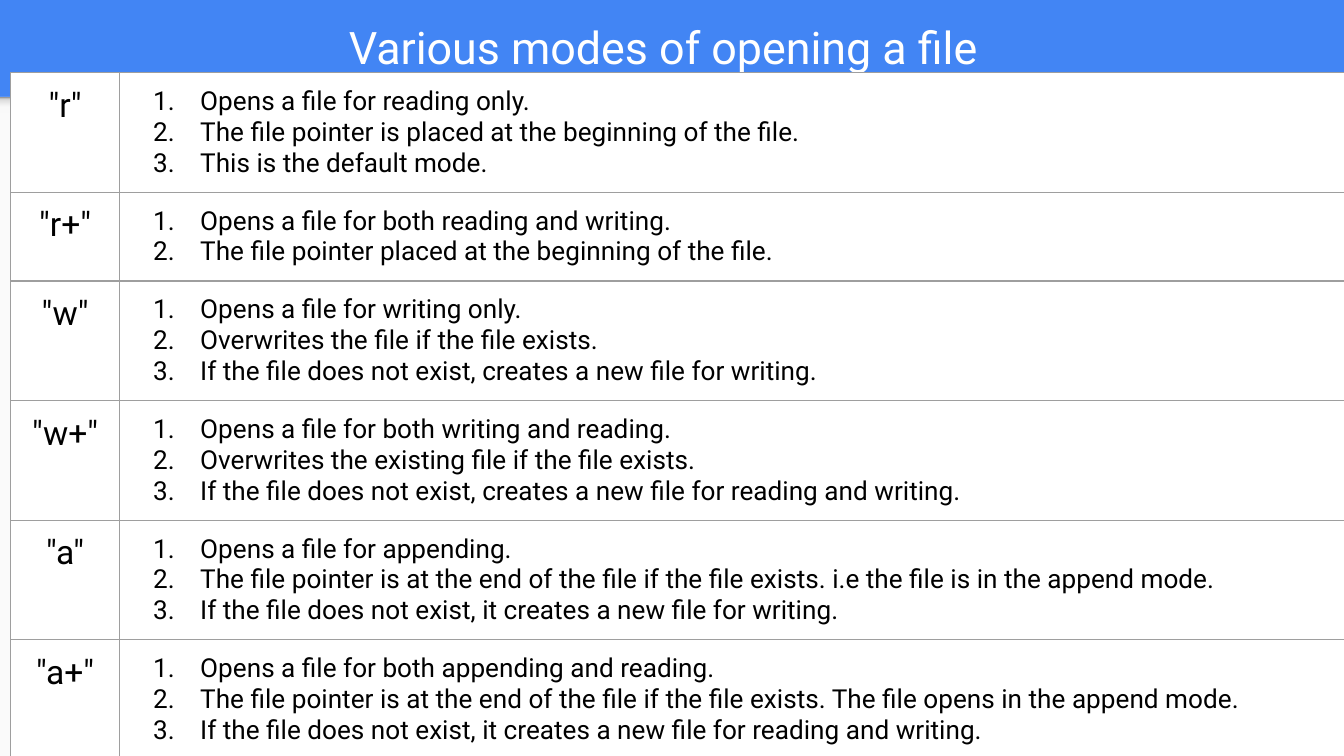
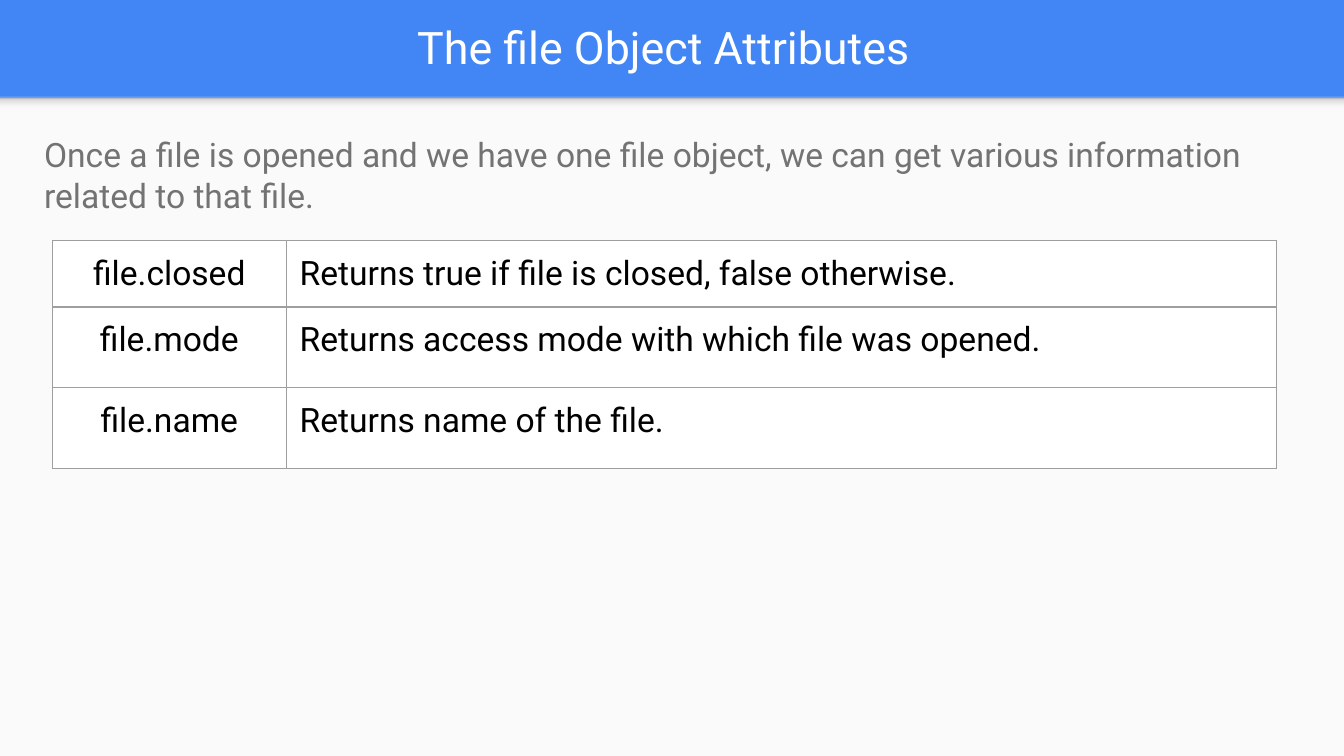
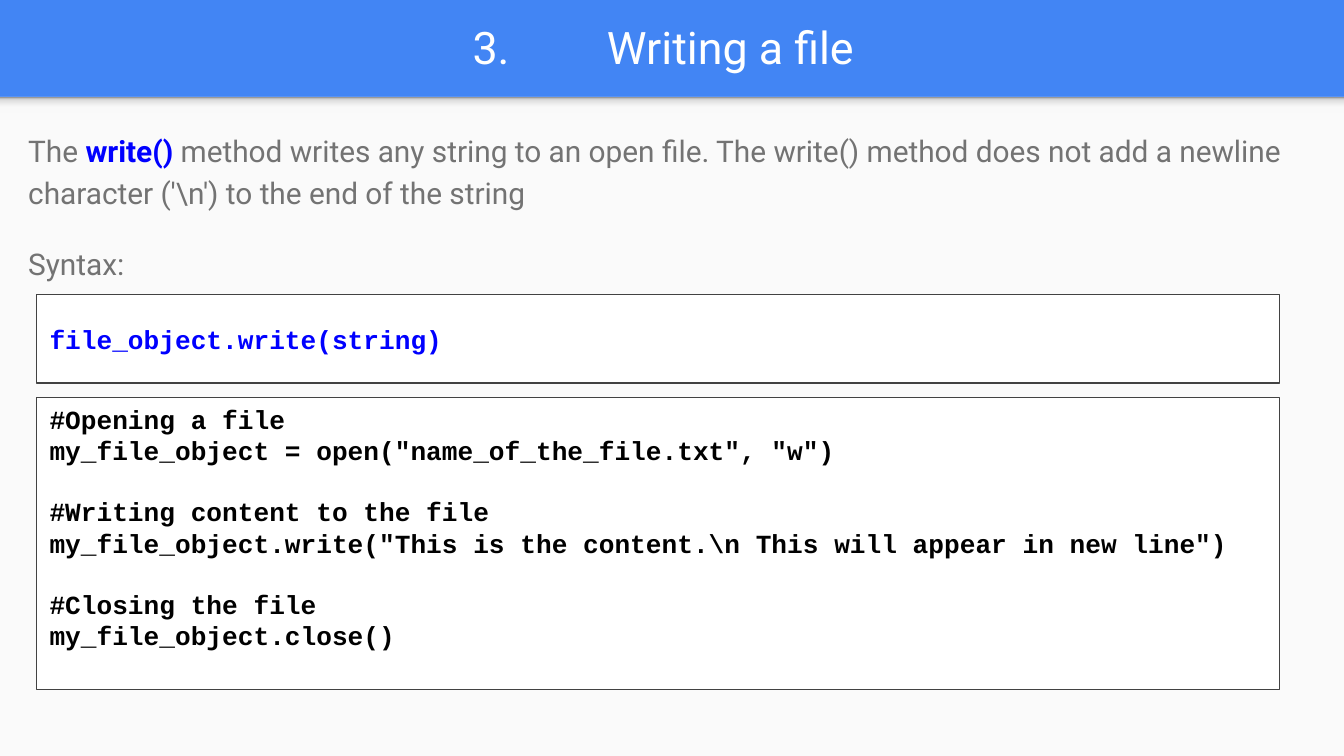
from lxml.etree import SubElement
from pptx import Presentation
from pptx.dml.color import RGBColor
from pptx.enum.shapes import MSO_SHAPE
from pptx.enum.text import MSO_ANCHOR, MSO_AUTO_SIZE, PP_ALIGN
from pptx.oxml.ns import qn
from pptx.util import Inches, Pt

BLUE, PAPER, WHITE, BLACK = "4285F4", "FAFAFA", "FFFFFF", "000000"
GREY, CODE_BLUE, OUTLINE, GRID = "737373", "0000FF", "424242", "9E9E9E"
SHADE_STOPS = [(0, "F9F9F9"), (36, "F9F9F9"), (80, "DEDEDE"), (100, "999999")]
INSET = Inches(0.1)

colour = RGBColor.from_string


def add_text(para, text, size, hex_colour, font="Roboto", bold=False):
    span = para.add_run()
    span.text = text
    span.font.size = Pt(size)
    span.font.name = font
    span.font.bold = bold
    span.font.color.rgb = colour(hex_colour)


def add_grid(page, left, top, widths, rows):
    """Two columns: a centred label, then a sentence or a numbered list."""
    heights = [0.42] + [0.6] * (len(rows) - 1)
    table = page.shapes.add_table(len(rows), len(widths), Inches(left), Inches(top),
                                  Inches(sum(widths)), Inches(sum(heights))).table
    table.first_row = table.horz_banding = False
    for column, width in zip(table.columns, widths):
        column.width = Inches(width)
    for row, height, contents in zip(table.rows, heights, rows):
        row.height = Inches(height)
        for index, (cell, content) in enumerate(zip(row.cells, contents)):
            cell.margin_left = cell.margin_right = INSET
            cell.margin_top = cell.margin_bottom = INSET
            numbered = isinstance(content, list)
            lines = content if numbered else [content]
            for number, line in enumerate(lines):
                frame = cell.text_frame
                para = frame.add_paragraph() if number else frame.paragraphs[0]
                para.alignment = PP_ALIGN.LEFT if index else PP_ALIGN.CENTER
                if numbered:
                    props = para._p.get_or_add_pPr()
                    props.set("marL", str(Inches(0.5)))
                    props.set("indent", str(Inches(-0.35)))
                    bullet = SubElement(props, qn("a:buClr"))
                    SubElement(bullet, qn("a:srgbClr"), val=BLACK)
                    SubElement(props, qn("a:buAutoNum"), type="arabicPeriod")
                add_text(para, line, 14 if numbered else 18, BLACK)
            # Cell borders come before the cell fill
            for side in ("a:lnL", "a:lnR", "a:lnT", "a:lnB"):
                border = SubElement(cell._tc.get_or_add_tcPr(), qn(side), w=str(Pt(0.75)))
                paint = SubElement(border, qn("a:solidFill"))
                SubElement(paint, qn("a:srgbClr"), val=GRID)
            cell.fill.solid()
            cell.fill.fore_color.rgb = colour(WHITE)


# A 16:9 deck
deck = Presentation()
deck.slide_width = Inches(10)
deck.slide_height = Inches(10) * 9 // 16
content_layout, title_layout = deck.slide_layouts[1], deck.slide_layouts[5]

# Pages with their titles
pages = []
for layout, heading in [(title_layout, "Various modes of opening a file"),
                        (title_layout, "The file Object Attributes"),
                        (content_layout, "3.\tWriting a file")]:
    page = deck.slides.add_slide(layout)
    title = page.shapes.title
    title.left, title.top = Inches(0.11), Inches(0.02)
    title.width, title.height = Inches(9.65), Inches(0.66)
    frame = title.text_frame
    frame.auto_size = MSO_AUTO_SIZE.NONE
    frame.vertical_anchor = MSO_ANCHOR.MIDDLE
    frame.margin_left = frame.margin_right = INSET
    frame.margin_top = frame.margin_bottom = INSET
    para = frame.paragraphs[0]
    para.alignment = PP_ALIGN.CENTER
    para._p.get_or_add_pPr().set("defTabSz", str(Inches(1)))
    add_text(para, heading, 24, WHITE)
    pages.append(page)
modes_page, attributes_page, writing_page = pages

# Master: blue band behind, pale panel, soft shade under the band
master = deck.slide_master
master.background.fill.solid()
master.background.fill.fore_color.rgb = colour(BLUE)
for order, height in enumerate([4.91, 0.12]):
    box = modes_page.shapes.add_shape(MSO_SHAPE.RECTANGLE, 0, Inches(0.72),
                                      Inches(10), Inches(height))
    box.shadow.inherit = False
    box.line.fill.background()
    if order == 0:
        box.fill.solid()
        box.fill.fore_color.rgb = colour(PAPER)
    else:
        box.fill.gradient()
        box.fill.gradient_angle = 90
        stops = box.element.spPr.find(".//" + qn("a:gsLst"))
        stops.clear()
        for position, shade in SHADE_STOPS:
            stop = SubElement(stops, qn("a:gs"), pos=str(position * 1000))
            SubElement(stop, qn("a:srgbClr"), val=shade)
    box.element.nvSpPr.cNvPr.set("id", str(20 + order))
    master.shapes.element.insert(2 + order, box.element)

# Page 1: opening modes
add_grid(modes_page, 0.08, 0.54, [0.81, 9.13], [
    ('"r"', ["Opens a file for reading only.",
             "The file pointer is placed at the beginning of the file.",
             "This is the default mode."]),
    ('"r+"', ["Opens a file for both reading and writing.",
              "The file pointer placed at the beginning of the file."]),
    ('"w"', ["Opens a file for writing only.",
             "Overwrites the file if the file exists.",
             "If the file does not exist, creates a new file for writing."]),
    ('"w+"', ["Opens a file for both writing and reading.",
              "Overwrites the existing file if the file exists.",
              "If the file does not exist, creates a new file for reading and writing."]),
    ('"a"', ["Opens a file for appending.",
             "The file pointer is at the end of the file if the file exists. "
             "i.e the file is in the append mode.",
             "If the file does not exist, it creates a new file for writing."]),
    ('"a+"', ["Opens a file for both appending and reading.",
              "The file pointer is at the end of the file if the file exists. "
              "The file opens in the append mode.",
              "If the file does not exist, it creates a new file for reading and writing."]),
])

# Page 2: file attributes
add_grid(attributes_page, 0.39, 1.79, [1.74, 7.37], [
    ("file.closed", "Returns true if file is closed, false otherwise."),
    ("file.mode", "Returns access mode with which file was opened."),
    ("file.name", "Returns name of the file."),
])
intro = attributes_page.shapes.add_textbox(Inches(0.23), Inches(0.9), Inches(9.54), Inches(0.8))
frame = intro.text_frame
frame.word_wrap = True
frame.margin_left = frame.margin_right = frame.margin_top = frame.margin_bottom = INSET
add_text(frame.paragraphs[0], "Once a file is opened and we have one file object, "
         "we can get various information related to that file.", 18, GREY)

# Page 3: explanation
body = writing_page.placeholders[1]
body.left, body.top = Inches(0.11), Inches(0.85)
body.width, body.height = Inches(9.65), Inches(4.38)
frame = body.text_frame
frame.auto_size = MSO_AUTO_SIZE.NONE
frame.vertical_anchor = MSO_ANCHOR.TOP
frame.margin_left = frame.margin_right = frame.margin_top = frame.margin_bottom = INSET
method, syntax = frame.paragraphs[0], frame.add_paragraph()
for para, gap in [(method, 0), (syntax, 16)]:
    para.line_spacing = 1.15
    para.space_before = para.space_after = Pt(gap)
    props = para._p.get_or_add_pPr()
    props.set("marL", "0")
    props.set("indent", "0")
    SubElement(props, qn("a:buNone"))
add_text(method, "The ", 16, GREY)
add_text(method, "write()", 16, CODE_BLUE, bold=True)
add_text(method, " method writes any string to an open file. The write() method does not "
         r"add a newline character ('\n') to the end of the string", 16, GREY)
add_text(syntax, "Syntax:", 16, GREY)

# Page 3: code boxes, with a gap before each later comment line
syntax_code = ["file_object.write(string)"]
example_code = [
    "#Opening a file",
    'my_file_object = open("name_of_the_file.txt", "w")',
    "#Writing content to the file",
    r'my_file_object.write("This is the content.\n This will appear in new line")',
    "#Closing the file",
    "my_file_object.close()",
]
for top, height, anchor, inset, hex_colour, lines in [
        (2.19, 0.66, MSO_ANCHOR.MIDDLE, 0.1, CODE_BLUE, syntax_code),
        (2.96, 2.17, MSO_ANCHOR.TOP, 0.04, BLACK, example_code)]:
    box = writing_page.shapes.add_shape(MSO_SHAPE.RECTANGLE, Inches(0.27), Inches(top),
                                        Inches(9.25), Inches(height))
    box.shadow.inherit = False
    box.fill.solid()
    box.fill.fore_color.rgb = colour(WHITE)
    box.line.color.rgb = colour(OUTLINE)
    box.line.width = Pt(0.75)
    frame = box.text_frame
    frame.word_wrap = True
    frame.vertical_anchor = anchor
    frame.margin_left = frame.margin_right = INSET
    frame.margin_top = frame.margin_bottom = Inches(inset)
    for number, line in enumerate(lines):
        para = frame.add_paragraph() if number else frame.paragraphs[0]
        para.alignment = PP_ALIGN.LEFT
        if number and line.startswith("#"):
            para.space_before = Pt(16)
        add_text(para, line, 14, hex_colour, "Courier New", True)

deck.save("out.pptx")
